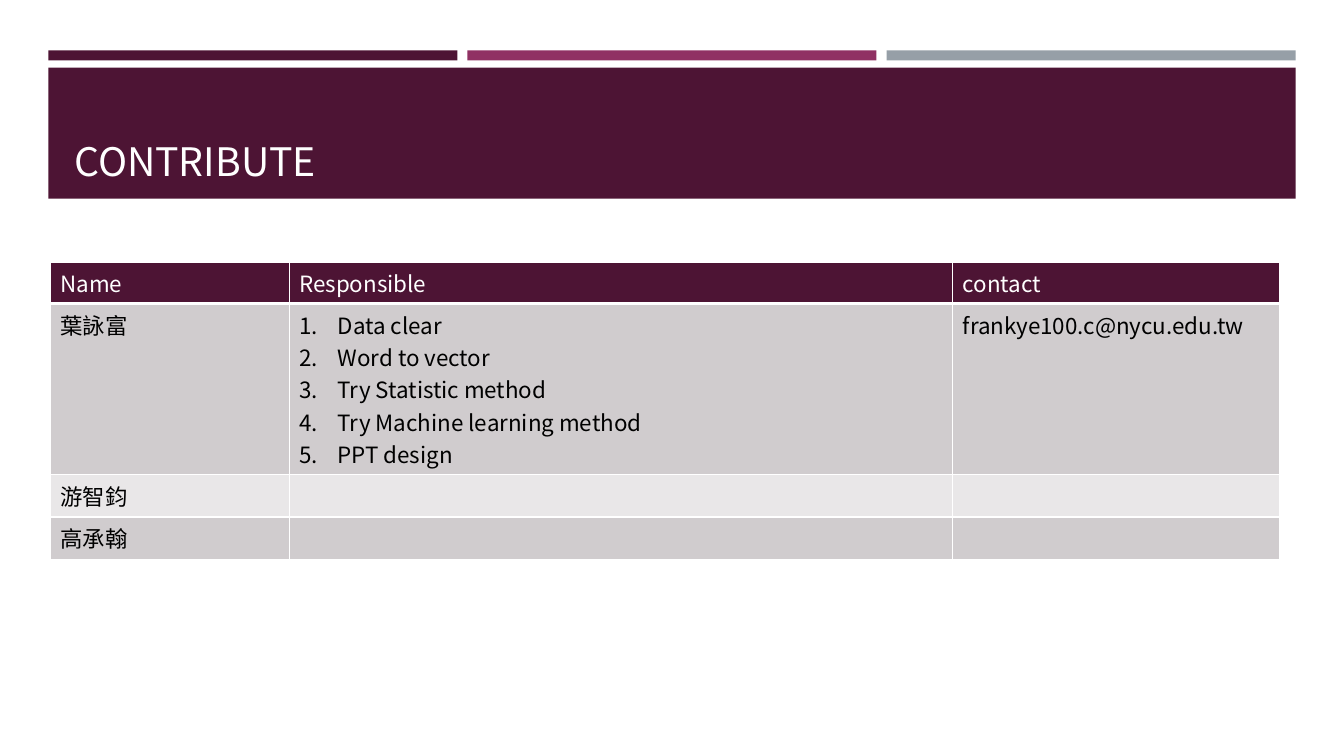
from lxml import etree
from pptx import Presentation, util as u
from pptx.dml.color import RGBColor
from pptx.enum import shapes, text
from pptx.oxml import ns

FACE = "Noto Sans CJK TC"
DARK, PINK, GRAY, WHITE, BLACK = "4D1434", "903163", "969FA7", "FFFFFF", "000000"
BANDS = ["D0CCCE", "E9E7E8"]
COLS = [2.37, 6.58, 3.24]
ROWS = [
    (0.41, [["Name"], ["Responsible"], ["contact"]]),
    (1.7, [["葉詠富"],
           ["Data clear", "Word to vector", "Try Statistic method",
            "Try Machine learning method", "PPT design"],
           ["frankye100.c@nycu.edu.tw"]]),
    (0.42, [["游智鈞"], [], []]),
    (0.42, [["高承翰"], [], []]),
]


def paint(fill, color):
    """Give a fill one solid colour."""
    fill.solid()
    fill.fore_color.rgb = RGBColor.from_string(color)


def add(parent, tag, **attrs):
    """Append a drawing element with attributes."""
    return etree.SubElement(parent, ns.qn(tag), attrs)


def write(para, words, size, color):
    """Write one run of styled text."""
    run = para.add_run()
    run.text = words
    for key, val in {"name": FACE, "size": u.Pt(size)}.items():
        setattr(run.font, key, val)
    run.font.color.rgb = RGBColor.from_string(color)
    add(run.font._element, "a:ea", typeface=FACE)


def block(slide, box, color):
    """Draw a plain filled rectangle."""
    rect = slide.shapes.add_shape(
        shapes.MSO_SHAPE.RECTANGLE, *[u.Inches(n) for n in box])
    rect.shadow.inherit = False
    paint(rect.fill, color)
    rect.line.fill.background()


def banner(slide, box, title):
    """Draw three strips over a title band."""
    left, top, width, height = box
    gap = 0.1
    part = (width - 2 * gap) / 3
    for i, color in enumerate([DARK, PINK, GRAY]):
        block(slide, (left + i * (part + gap), top, part, 0.1), color)
    block(slide, (left, top + 0.17, width, height - 0.17), DARK)
    label = slide.shapes.add_textbox(
        u.Inches(left + 0.16), u.Inches(top + 0.27),
        u.Inches(width - 0.31), u.Inches(height - 0.36))
    frame = label.text_frame
    form = {"word_wrap": True, "vertical_anchor": text.MSO_ANCHOR.BOTTOM}
    for key, val in form.items():
        setattr(frame, key, val)
    write(frame.paragraphs[0], title, 28, WHITE)


def border(cell, base):
    """Draw white cell edges with a given base width."""
    props = cell._tc.get_or_add_tcPr()
    for i, (side, wide) in enumerate(zip("LRTB", [1, 1, 1, base])):
        line = etree.Element(ns.qn(f"a:ln{side}"), w=str(u.Pt(wide)))
        add(add(line, "a:solidFill"), "a:srgbClr", val=WHITE)
        props.insert(i, line)


def number(para):
    """Turn a paragraph into a numbered item."""
    props = para._p.get_or_add_pPr()
    step = u.Inches(0.38)
    props.set("marL", str(step))
    props.set("indent", str(-step))
    add(props, "a:buFont", typeface="+mj-lt")
    add(props, "a:buAutoNum", type="arabicPeriod")


def roster(slide, left, top):
    """Build the table of members and tasks."""
    high = sum(row[0] for row in ROWS)
    table = slide.shapes.add_table(
        len(ROWS), len(COLS), u.Inches(left), u.Inches(top),
        u.Inches(sum(COLS)), u.Inches(high)).table
    for col, wide in zip(table.columns, COLS):
        col.width = u.Inches(wide)
    for r, (tall, cells) in enumerate(ROWS):
        table.rows[r].height = u.Inches(tall)
        for c, lines in enumerate(cells):
            cell = table.cell(r, c)
            paint(cell.fill, BANDS[(r - 1) % 2] if r else DARK)
            border(cell, 1 if r else 3)
            frame = cell.text_frame
            for i, words in enumerate(lines):
                para = frame.add_paragraph() if i else frame.paragraphs[0]
                if len(lines) > 1:
                    number(para)
                write(para, words, 16, BLACK if r else WHITE)


def main():
    """Build and save the slide."""
    deck = Presentation()
    deck.slide_width, deck.slide_height = u.Inches(13.33), u.Inches(7.5)
    slide = deck.slides.add_slide(deck.slide_layouts[6])
    banner(slide, (0.48, 0.5, 12.37, 1.47), "CONTRIBUTE")
    roster(slide, 0.5, 2.6)
    deck.save("out.pptx")


if __name__ == "__main__":
    main()
